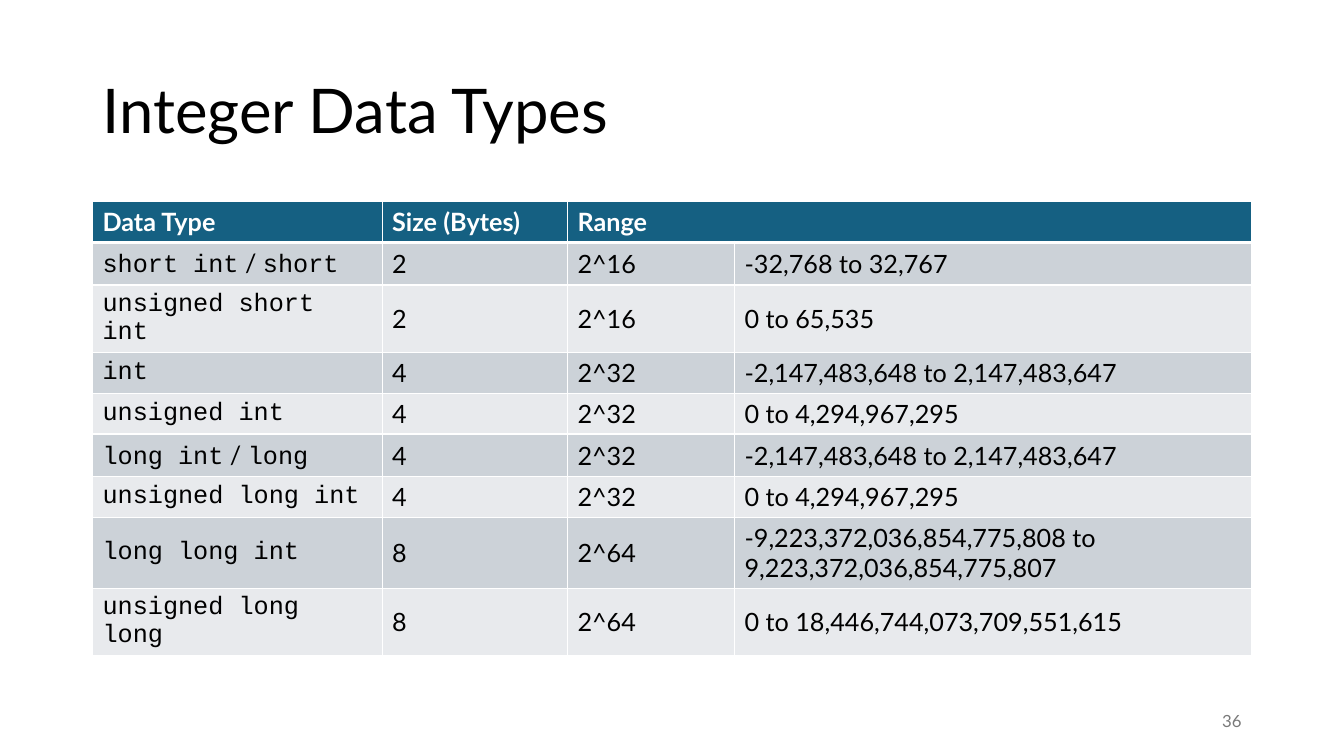
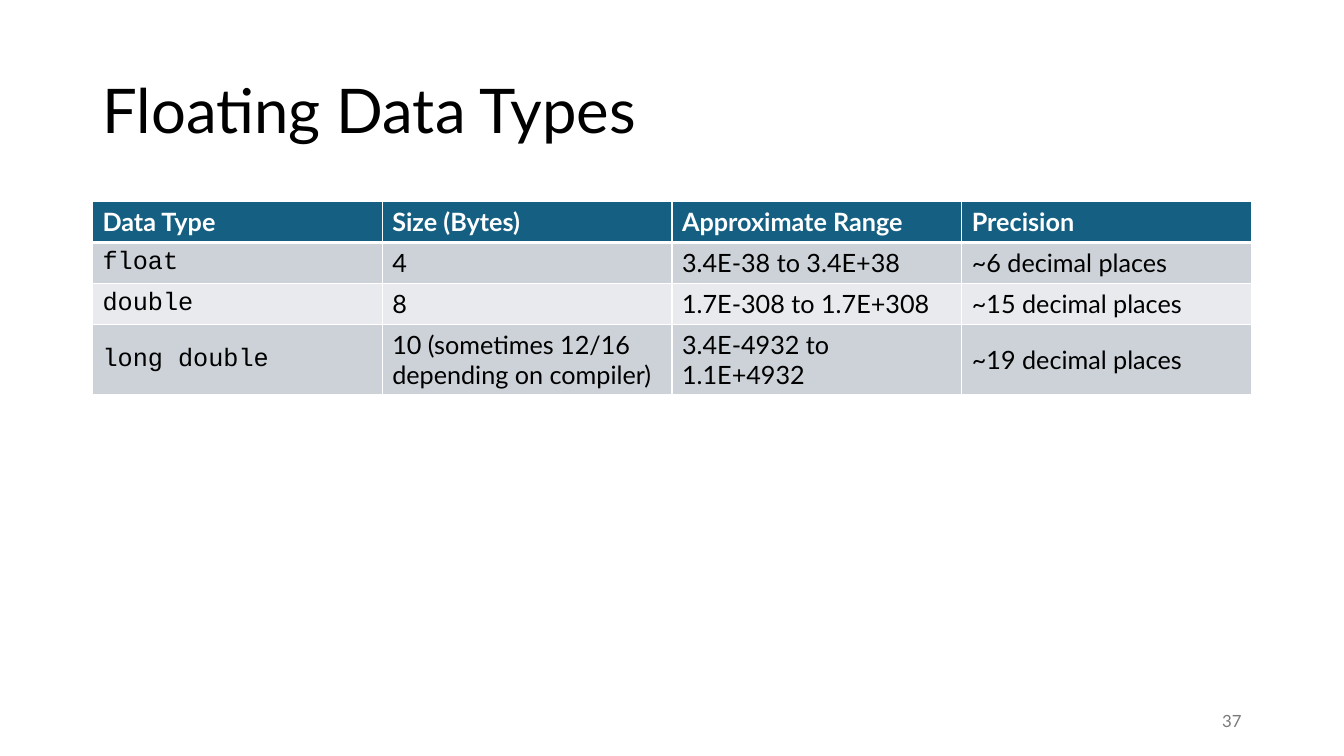
from lxml.etree import SubElement
from pptx import Presentation
from pptx.dml.color import RGBColor
from pptx.enum.text import MSO_ANCHOR, PP_ALIGN
from pptx.oxml.ns import qn
from pptx.util import Cm, Pt

TEXT_FONT = "Lato"
CODE_FONT = "Courier New"
BLACK = RGBColor(0x00, 0x00, 0x00)
WHITE = RGBColor(0xFF, 0xFF, 0xFF)
GRAY = RGBColor(0x79, 0x79, 0x79)
HEADER_BLUE = RGBColor(0x15, 0x60, 0x82)
BANDS = [RGBColor(0xCC, 0xD2, 0xD8), RGBColor(0xE8, 0xEA, 0xED)]

LEFT, CONTENT_WIDTH = 2.33, 29.21
TABLE_TOP, ROW_HEIGHT = 5.08, 1.03
NUMBER_WIDTH = 7.62
FIRST_NUMBER = 36

# The first column of each row holds the type name, with any short form after " / ".
# None in a header means that the cell to its left spans this column too.
SLIDES = [
    {
        "title": "Integer Data Types",
        "widths": [7.3, 4.67, 4.21, 13.03],
        "header": ["Data Type", "Size (Bytes)", "Range", None],
        "rows": [
            ("short int / short", "2", "2^16", "-32,768 to 32,767"),
            ("unsigned short int", "2", "2^16", "0 to 65,535"),
            ("int", "4", "2^32", "-2,147,483,648 to 2,147,483,647"),
            ("unsigned int", "4", "2^32", "0 to 4,294,967,295"),
            ("long int / long", "4", "2^32", "-2,147,483,648 to 2,147,483,647"),
            ("unsigned long int", "4", "2^32", "0 to 4,294,967,295"),
            ("long long int", "8", "2^64",
             "-9,223,372,036,854,775,808 to 9,223,372,036,854,775,807"),
            ("unsigned long long", "8", "2^64", "0 to 18,446,744,073,709,551,615"),
        ],
    },
    {
        "title": "Floating Data Types",
        "widths": [CONTENT_WIDTH / 4] * 4,
        "header": ["Data Type", "Size (Bytes)", "Approximate Range", "Precision"],
        "rows": [
            ("float", "4", "3.4E-38 to 3.4E+38", "~6 decimal places"),
            ("double", "8", "1.7E-308 to 1.7E+308", "~15 decimal places"),
            ("long double", "10 (sometimes 12/16 depending on compiler)",
             "3.4E-4932 to 1.1E+4932", "~19 decimal places"),
        ],
    },
]


def add_span(para, text, size, color, font=TEXT_FONT, bold=False):
    span = para.add_run()
    span.text = text
    span.font.name = font
    span.font.size = Pt(size)
    span.font.color.rgb = color
    span.font.bold = bold


def add_code(para, names):
    """Write type names in the code font, with their separators in the text font."""
    for index, name in enumerate(names.split(" / ")):
        if index:
            add_span(para, " / ", 18, BLACK)
        add_span(para, name, 18, BLACK, CODE_FONT)


def style_cell(cell, fill, top=1, bottom=1):
    """Set white borders, with top and bottom widths in points, and the fill."""
    properties = cell._tc.get_or_add_tcPr()
    for side, width in (("L", 1), ("R", 1), ("T", top), ("B", bottom)):
        line = SubElement(properties, qn(f"a:ln{side}"), w=str(Pt(width)))
        SubElement(SubElement(line, qn("a:solidFill")), qn("a:srgbClr"), val=str(WHITE))
    cell.fill.solid()
    cell.fill.fore_color.rgb = fill
    cell.vertical_anchor = MSO_ANCHOR.MIDDLE


def add_title(page, text):
    title = page.shapes.title
    title.left, title.top = Cm(LEFT), Cm(1.01)
    title.width, title.height = Cm(CONTENT_WIDTH), Cm(3.68)
    title.text_frame.vertical_anchor = MSO_ANCHOR.MIDDLE
    para = title.text_frame.paragraphs[0]
    para.alignment = PP_ALIGN.LEFT
    para.line_spacing = 0.9
    add_span(para, text, 44, BLACK)


def add_type_table(page, widths, header, rows):
    row_count = len(rows) + 1
    table = page.shapes.add_table(
        row_count, len(widths), Cm(LEFT), Cm(TABLE_TOP),
        Cm(CONTENT_WIDTH), Cm(ROW_HEIGHT * row_count)).table
    table.horz_banding = False
    for column, width in zip(table.columns, widths):
        column.width = Cm(width)
    for row in table.rows:
        row.height = Cm(ROW_HEIGHT)

    for column, text in enumerate(header):
        cell = table.cell(0, column)
        style_cell(cell, HEADER_BLUE, bottom=3)
        if text is None:
            table.cell(0, column - 1).merge(cell)
        else:
            add_span(cell.text_frame.paragraphs[0], text, 18, WHITE, bold=True)

    for index, values in enumerate(rows):
        for column, text in enumerate(values):
            cell = table.cell(index + 1, column)
            style_cell(cell, BANDS[index % 2], top=1 if index else 3)
            para = cell.text_frame.paragraphs[0]
            if column == 0:
                add_code(para, text)
            else:
                add_span(para, text, 18, BLACK)


def add_page_number(page, number):
    box = page.shapes.add_textbox(
        Cm(LEFT + CONTENT_WIDTH - NUMBER_WIDTH), Cm(17.66), Cm(NUMBER_WIDTH), Cm(1.01))
    box.text_frame.word_wrap = True
    box.text_frame.vertical_anchor = MSO_ANCHOR.MIDDLE
    para = box.text_frame.paragraphs[0]
    para.alignment = PP_ALIGN.RIGHT
    add_span(para, str(number), 12, GRAY)


def main():
    deck = Presentation()
    deck.slide_width, deck.slide_height = Cm(33.87), Cm(19.05)
    title_only = deck.slide_layouts[5]
    for number, content in enumerate(SLIDES, FIRST_NUMBER):
        page = deck.slides.add_slide(title_only)
        add_title(page, content["title"])
        add_type_table(page, content["widths"], content["header"], content["rows"])
        add_page_number(page, number)
    deck.save("out.pptx")


if __name__ == "__main__":
    main()
